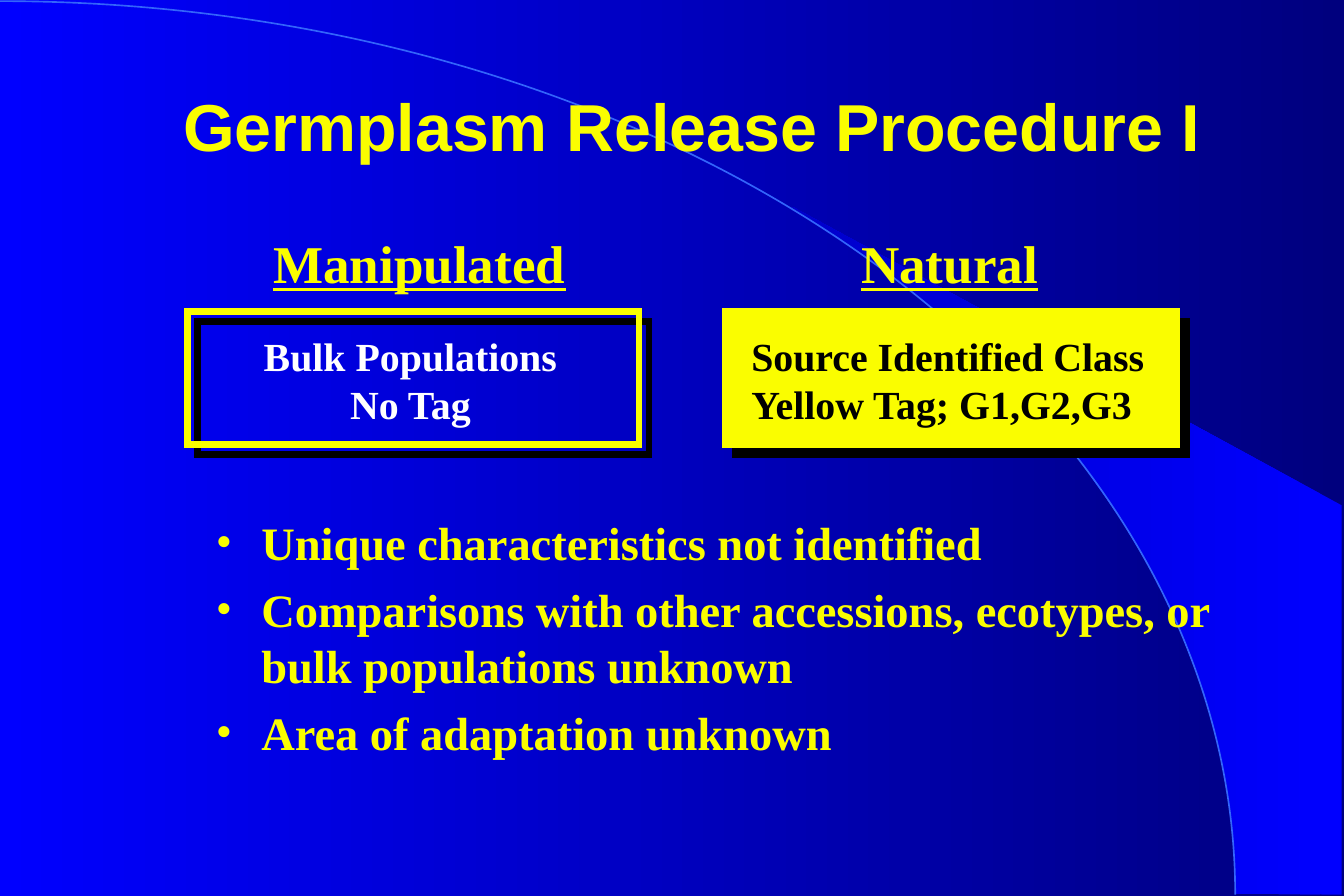
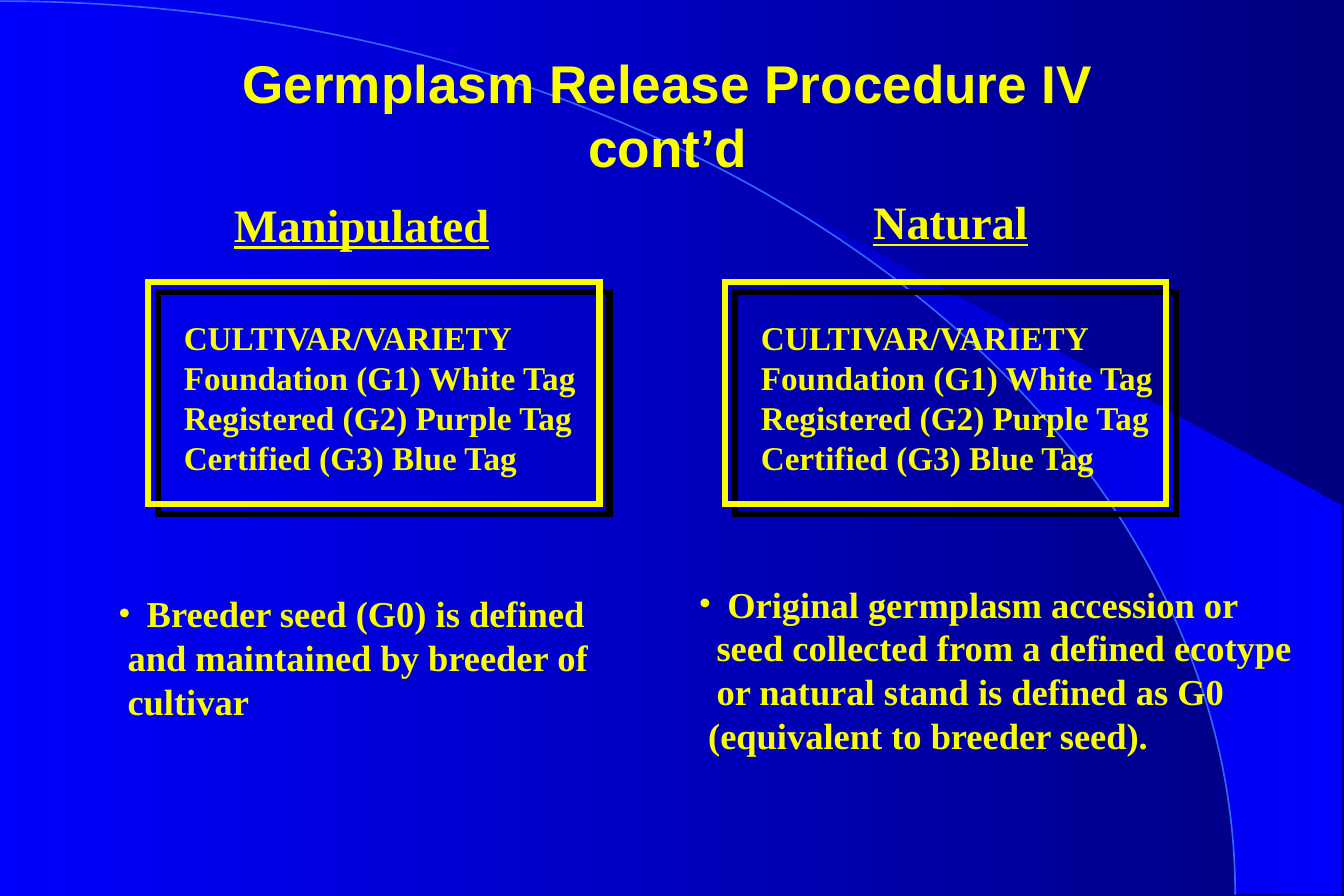
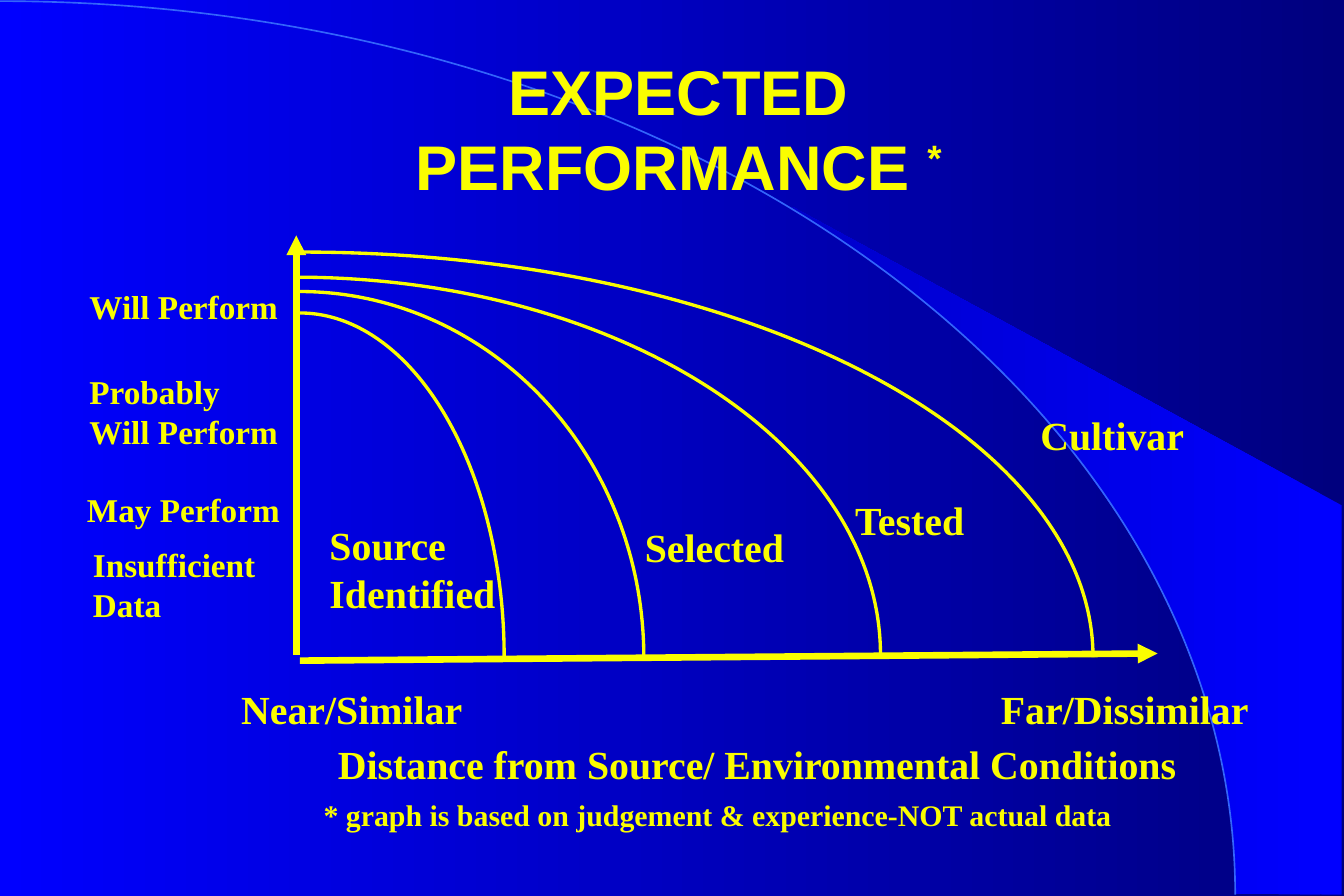
from dataclasses import dataclass

from lxml import etree
from pptx import Presentation
from pptx.dml.color import RGBColor
from pptx.enum.shapes import MSO_CONNECTOR, MSO_SHAPE
from pptx.enum.text import MSO_ANCHOR, PP_ALIGN
from pptx.oxml.ns import qn
from pptx.util import Pt

PX = 9144  # 100 px to the inch
RECT, ARC = MSO_SHAPE.RECTANGLE, MSO_SHAPE.ARC
STRAIGHT = MSO_CONNECTOR.STRAIGHT
LEFT, CENTER = PP_ALIGN.LEFT, PP_ALIGN.CENTER
TOP, MIDDLE = MSO_ANCHOR.TOP, MSO_ANCHOR.MIDDLE


@dataclass(frozen=True)
class Theme:
    yellow: str = "FAFD00"
    white: str = "FFFFFF"
    black: str = "000000"
    navy: str = "00007E"
    blue: str = "0000FF"
    deep: str = "0000CB"
    sky: str = "3365FB"
    head: str = "Arial"
    body: str = "Times New Roman"
    title: tuple = (40, 32, 38)
    large: int = 32
    bullet: int = 28
    label: int = 24
    item: int = 22
    small: int = 20
    note: int = 18
    frame: int = 4
    curve: int = 2
    hair: int = 1
    drop: float = 8.5


T = Theme()


def write(slide, lines, box, size=T.label, color=T.yellow, font=T.body,
          align=LEFT, anchor=TOP, under=False, pads=(), dots=0, gap=0):
    """Add a paragraph per line; text after ^ is raised, the first dots lines get bullets."""
    area = slide.shapes.add_textbox(*(n * PX for n in box))
    frame = area.text_frame
    frame.word_wrap, frame.vertical_anchor = True, anchor
    for i, line in enumerate(lines):
        para = frame.paragraphs[0] if i == 0 else frame.add_paragraph()
        para.alignment = align
        props = para._p.get_or_add_pPr()
        if pads:
            props.set("marL", str(pads[i] * PX))
        if i < dots:
            props.set("indent", str(-pads[i] * PX))
            tint = etree.SubElement(props, qn("a:buClr"))
            etree.SubElement(tint, qn("a:srgbClr"), val=color)
            etree.SubElement(props, qn("a:buFont"), typeface=font)
            etree.SubElement(props, qn("a:buChar"), char="•")
        if i and gap:
            para.space_before = Pt(gap)
        for k, part in enumerate(line.split("^")):
            run = para.add_run()
            run.text = part
            face = run.font
            face.name, face.size, face.bold = font, Pt(size), True
            face.color.rgb = RGBColor.from_string(color)
            if under:
                face.underline = True
            if k:
                run._r.get_or_add_rPr().set("baseline", "30000")


def draw(slide, kind, box, weight, line=T.yellow, fill=None, drop=False):
    """Add an outlined preset shape, with a hard drop shadow if asked."""
    shape = slide.shapes.add_shape(kind, *(n * PX for n in box))
    shape.shadow.inherit = False
    if fill:
        shape.fill.solid()
        shape.fill.fore_color.rgb = RGBColor.from_string(fill)
    else:
        shape.fill.background()
    shape.line.color.rgb = RGBColor.from_string(line)
    shape.line.width = Pt(weight)
    props = shape.element.spPr
    etree.SubElement(props.find(qn("a:ln")), qn("a:miter"), lim="800000")
    if drop:
        effect = props.find(qn("a:effectLst"))
        shade = etree.SubElement(effect, qn("a:outerShdw"), dist=str(Pt(T.drop)),
                                 dir="2700000", algn="ctr", rotWithShape="0")
        etree.SubElement(shade, qn("a:srgbClr"), val=T.black)
    return shape


deck = Presentation()
deck.slide_width, deck.slide_height = 1125 * PX, 750 * PX
blank = deck.slide_layouts[6]
for holder in list(blank.placeholders):
    blank.shapes.element.remove(holder.element)
first, second, third = [deck.slides.add_slide(blank) for _ in range(3)]

# Shared backdrop: gradient on the master, glow and arc on the layout
edge = [(1123, 749), (1123, 423), (663, 173), (702, 199), (734, 222),
        (771, 250), (806, 280), (857, 330), (903, 384), (936, 431),
        (965, 479), (988, 528), (1005, 572), (1016, 609), (1027, 656),
        (1032, 696)]
path = first.shapes.build_freeform(1035, 748, scale=PX)
path.add_line_segments(edge, close=True)
glow = path.convert_to_shape()
glow.shadow.inherit = False
glow.line.fill.background()
sweep = draw(first, ARC, (-1034, 1, 2068, 1496), T.hair, line=T.sky)
for fill, tones in ((deck.slide_master.background.fill, (T.navy, T.blue)),
                    (glow.fill, (T.blue, T.deep))):
    fill.gradient()
    fill.gradient_angle = 180
    for stop, tone, at in zip(fill.gradient_stops, tones, (0, 1)):
        stop.color.rgb = RGBColor.from_string(tone)
        stop.position = at
for part in (glow, sweep):
    blank.shapes.element.append(part.element)

# Titles
for slide, size, lines, box in zip(
        (first, second, third), T.title,
        (["Germplasm Release Procedure I"],
         ["Germplasm Release Procedure IV", "cont’d"],
         ["EXPECTED", "PERFORMANCE ^*"]),
        ((104, 42, 950, 125), (38, 33, 1042, 125), (93, 35, 950, 144))):
    write(slide, lines, box, size, font=T.head, align=CENTER, anchor=MIDDLE)

# Column headings
for slide, word, box, size in (
        (first, "Manipulated", (219, 188, 290, 63), T.large),
        (first, "Natural", (711, 188, 190, 63), T.large),
        (second, "Manipulated", (186, 159, 260, 56), T.bullet),
        (second, "Natural", (721, 157, 170, 56), T.bullet)):
    write(slide, [word], box, size, under=True)

# Slide 1: two classes and what is unknown
for left, fill in ((157, None), (607, T.yellow)):
    draw(first, RECT, (left, 261, 378, 111), T.frame, fill=fill, drop=True)
write(first, ["Bulk Populations", "No Tag"], (193, 273, 301, 90),
      color=T.white, align=CENTER)
write(first, ["Source Identified Class", "Yellow Tag; G1,G2,G3"],
      (619, 273, 365, 90), color=T.black)
write(first, ["Unique characteristics not identified",
              "Comparisons with other accessions, ecotypes, or bulk populations unknown",
              "Area of adaptation unknown"],
      (171, 425, 870, 192), T.bullet, pads=(38,) * 3, dots=3, gap=7)

# Slide 2: the same tags in both columns
tags = ["CULTIVAR/VARIETY", "Foundation (G1) White Tag",
        "Registered (G2) Purple Tag", "Certified (G3) Blue Tag"]
for left, width in ((124, 378), (607, 369)):
    draw(second, RECT, (left, 236, width, 186), T.frame, drop=True)
    write(second, tags, (left + 20, 261, 380, 143), T.small)
write(second, ["Breeder seed (G0) is defined", "and maintained by breeder of",
               "cultivar"],
      (89, 490, 440, 120), T.item, pads=(24, 8, 8), dots=1)
write(second, ["Original germplasm accession or",
               "seed collected from a defined ecotype",
               "or natural stand is defined as G0",
               "(equivalent to breeder seed)."],
      (575, 482, 540, 156), T.item, pads=(24, 15, 15, 8), dots=1)

# Slide 3: axes, curves and labels
for ends in ((248, 548, 248, 197), (251, 553, 969, 547)):
    axis = third.shapes.add_connector(STRAIGHT, *(n * PX for n in ends))
    axis.line.color.rgb = RGBColor.from_string(T.yellow)
    axis.line.width = Pt(T.frame)
    props = axis.element.spPr
    etree.SubElement(props.find(qn("a:ln")), qn("a:tailEnd"), type="triangle")
    etree.SubElement(props, qn("a:effectLst"))

# Each curve is a quarter ellipse: centre x, top, right end, base
for mid, top, right, base in ((251, 262, 422, 550), (251, 244, 539, 550),
                              (248, 232, 737, 548), (253, 211, 915, 550)):
    wide, high = right - mid, base - top
    draw(third, ARC, (mid - wide, top, 2 * wide, 2 * high), T.curve)

for lines, box, size in (
        (["Will Perform"], (65, 235, 200, 43), T.small),
        (["Probably", "Will Perform"], (65, 306, 200, 76), T.small),
        (["May Perform"], (63, 405, 200, 43), T.small),
        (["Insufficient", "Data"], (68, 451, 200, 76), T.small),
        (["Cultivar"], (861, 339, 160, 50), T.label),
        (["Tested"], (706, 410, 160, 50), T.label),
        (["Selected"], (530, 433, 160, 50), T.label),
        (["Source", "Identified"], (266, 431, 180, 90), T.label),
        (["Near/Similar"], (192, 568, 230, 50), T.label),
        (["Far/Dissimilar"], (828, 568, 260, 50), T.label),
        (["Distance from Source/ Environmental Conditions"],
         (273, 614, 760, 50), T.label),
        (["* graph is based on judgement & experience-NOT actual data"],
         (261, 662, 720, 40), T.note)):
    write(third, lines, box, size)

deck.save("out.pptx")
